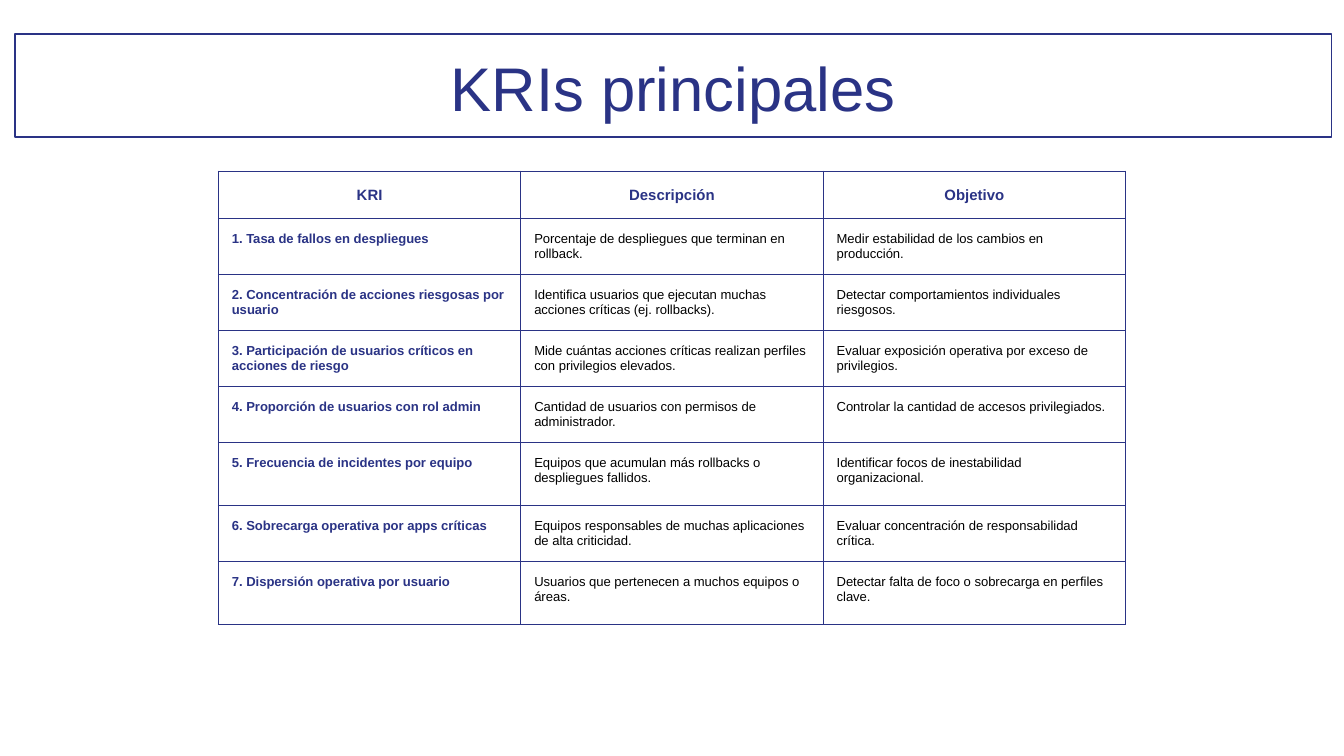
"""Build the slide with the table of key risk indicators."""
from dataclasses import dataclass

from lxml import etree
from pptx import Presentation
from pptx.dml.color import RGBColor
from pptx.enum import text
from pptx.oxml import ns
from pptx.util import Pt

NAVY = RGBColor(0x2A, 0x33, 0x85)
BLACK = RGBColor(0, 0, 0)
FONT = "Arial"
INSET = Pt(7.2)
LINE = Pt(0.75)
COL_WIDTH = Pt(162)
ROW_HEIGHTS = [Pt(h) for h in (25.2, 28.8, 28.8, 28.8, 28.8, 33.8, 28.8, 33.8)]


@dataclass(frozen=True)
class Kri:
    name: str
    description: str
    goal: str


HEADER = Kri("KRI", "Descripción", "Objetivo")
KRIS = [
    Kri("1. Tasa de fallos en despliegues",
        "Porcentaje de despliegues que terminan en rollback.",
        "Medir estabilidad de los cambios en producción."),
    Kri("2. Concentración de acciones riesgosas por usuario",
        "Identifica usuarios que ejecutan muchas acciones críticas (ej. rollbacks).",
        "Detectar comportamientos individuales riesgosos."),
    Kri("3. Participación de usuarios críticos en acciones de riesgo",
        "Mide cuántas acciones críticas realizan perfiles con privilegios elevados.",
        "Evaluar exposición operativa por exceso de privilegios."),
    Kri("4. Proporción de usuarios con rol admin",
        "Cantidad de usuarios con permisos de administrador.",
        "Controlar la cantidad de accesos privilegiados."),
    Kri("5. Frecuencia de incidentes por equipo",
        "Equipos que acumulan más rollbacks o despliegues fallidos.",
        "Identificar focos de inestabilidad organizacional."),
    Kri("6. Sobrecarga operativa por apps críticas",
        "Equipos responsables de muchas aplicaciones de alta criticidad.",
        "Evaluar concentración de responsabilidad crítica."),
    Kri("7. Dispersión operativa por usuario",
        "Usuarios que pertenecen a muchos equipos o áreas.",
        "Detectar falta de foco o sobrecarga en perfiles clave."),
]


def format_run(r, size: float, color: RGBColor, bold: bool) -> None:
    r.font.name = FONT
    r.font.size = Pt(size)
    r.font.bold = bold
    r.font.color.rgb = color


def set_insets(box) -> None:
    box.margin_left = box.margin_right = INSET
    box.margin_top = box.margin_bottom = INSET


def set_borders(cell) -> None:
    tc_pr = cell._tc.get_or_add_tcPr()
    for side in ("a:lnL", "a:lnR", "a:lnT", "a:lnB"):
        ln = etree.SubElement(tc_pr, ns.qn(side), w=str(LINE))
        fill = etree.SubElement(ln, ns.qn("a:solidFill"))
        etree.SubElement(fill, ns.qn("a:srgbClr"), val=str(NAVY))


def fill_cell(cell, content: str, is_header: bool, is_name: bool) -> None:
    set_insets(cell)
    set_borders(cell)
    cell.fill.background()
    cell.text_frame.text = content
    p = cell.text_frame.paragraphs[0]
    if is_header:
        p.alignment = text.PP_ALIGN.CENTER
        p.line_spacing = 1.15
    strong = is_header or is_name
    format_run(p.runs[0], 8 if is_header else 7, NAVY if strong else BLACK, strong)


def add_title(s, content: str) -> None:
    sp = s.shapes.title
    sp.left, sp.top, sp.width, sp.height = Pt(8), Pt(18.2), Pt(705.5), Pt(55.3)
    sp.fill.background()
    sp.line.color.rgb = NAVY
    sp.line.width = LINE
    tf = sp.text_frame
    tf.text = content
    tf.word_wrap = True
    tf.auto_size = text.MSO_AUTO_SIZE.NONE
    tf.vertical_anchor = text.MSO_ANCHOR.BOTTOM
    set_insets(tf)
    p = tf.paragraphs[0]
    p.alignment = text.PP_ALIGN.CENTER
    format_run(p.runs[0], 33, NAVY, False)


def add_kri_table(s, rows: list[Kri]) -> None:
    frame = s.shapes.add_table(len(rows), 3, Pt(117), Pt(91.7), 3 * COL_WIDTH, sum(ROW_HEIGHTS))
    table = frame.table
    table.first_row = table.horz_banding = False
    for column in table.columns:
        column.width = COL_WIDTH
    for i, (kri, height) in enumerate(zip(rows, ROW_HEIGHTS)):
        table.rows[i].height = height
        for j, content in enumerate((kri.name, kri.description, kri.goal)):
            fill_cell(table.cell(i, j), content, i == 0, j == 0)


def main() -> None:
    prs = Presentation()
    prs.slide_width, prs.slide_height = Pt(720), Pt(405)
    s = prs.slides.add_slide(prs.slide_layouts[0])
    subtitle = s.placeholders[1].element
    subtitle.getparent().remove(subtitle)
    add_title(s, "KRIs principales")
    add_kri_table(s, [HEADER, *KRIS])
    prs.save("out.pptx")


if __name__ == "__main__":
    main()
